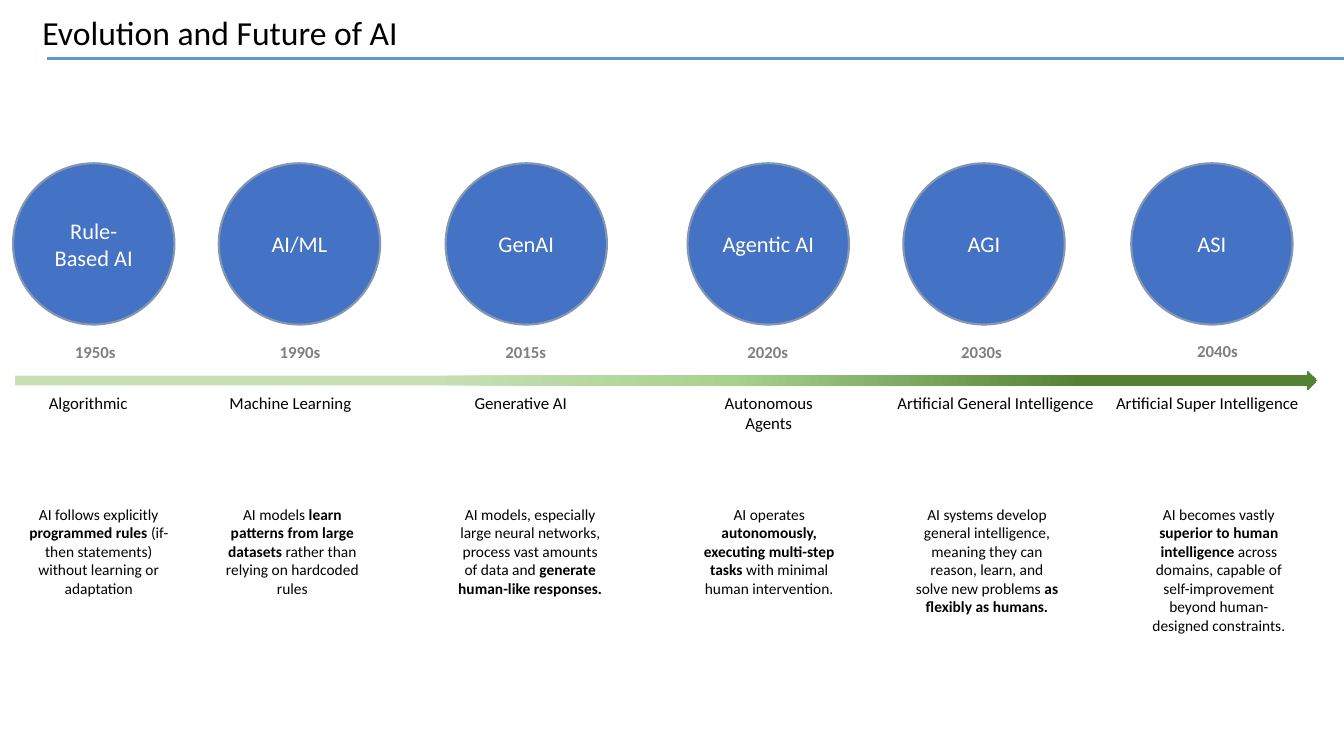
import copy
import pptx
import pptx.dml.color
import pptx.enum.shapes
import pptx.enum.text
import pptx.oxml.ns
import pptx.util
from pptx.util import Inches

SHAPE = pptx.enum.shapes.MSO_SHAPE
ALIGN = pptx.enum.text.PP_ALIGN
ANCHOR = pptx.enum.text.MSO_ANCHOR
FONT = "Calibri"
HUES = {
    "text": "000000", "white": "FFFFFF", "year": "808080",
    "disc": "4472C4", "edge": "8497B0", "rule": "5B9BD5",
    "pale": "C5E0B4", "mid": "A9D18E", "deep": "548235",
}

# Disc: name, left. Year: text, left, top. Label: text, left, width, wrap.
# Note: left, height, runs as (text, bold).
STAGES = [
    (("Rule-Based AI", 0.13), ("1950s", 0.64, 3.34),
     ("Algorithmic", 0.38, 0.99, False),
     (0.25, 0.93, [("AI follows explicitly ", False), ("programmed rules", True),
                   (" (if-then statements) without learning or adaptation", False)])),
    (("AI/ML", 2.17), ("1990s", 2.67, 3.34),
     ("Machine Learning", 2.17, 1.42, False),
     (2.17, 0.93, [("AI models ", False), ("learn patterns from large datasets ", True),
                   ("rather than relying on hardcoded rules", False)])),
    (("GenAI", 4.42), ("2015s", 4.91, 3.34),
     ("Generative AI", 4.6, 1.13, False),
     (4.53, 0.93, [("AI models, especially large neural networks, "
                    "process vast amounts of data and ", False),
                   ("generate human-like responses.", True)])),
    (("Agentic AI", 6.82), ("2020s", 7.31, 3.34),
     ("Autonomous Agents", 6.84, 1.57, True),
     (6.9, 0.93, [("AI operates ", False),
                  ("autonomously, executing multi-step tasks", True),
                  (" with minimal human intervention.", False)])),
    (("AGI", 8.96), ("2030s", 9.43, 3.34),
     ("Artificial General Intelligence", 8.79, 2.17, False),
     (9.06, 1.11, [("AI systems develop general intelligence, meaning they can "
                    "reason, learn, and solve new problems ", False),
                   ("as flexibly as humans.", True)])),
    (("ASI", 11.22), ("2040s", 11.77, 3.33),
     ("Artificial Super Intelligence", 10.96, 2.03, False),
     (11.36, 1.3, [("AI becomes vastly ", False),
                   ("superior to human intelligence ", True),
                   ("across domains, capable of self-improvement "
                    "beyond human-designed constraints.", False)])),
]


def tint(name):
    return pptx.dml.color.RGBColor.from_string(HUES[name])


class Deck:
    def __init__(self):
        self.file = pptx.Presentation()
        self.file.slide_width = Inches(13.33)
        self.file.slide_height = Inches(7.5)
        self.slide = self.file.slides.add_slide(self.file.slide_layouts[5])

    def add_runs(self, frame, runs, size, hue="text", align=ALIGN.CENTER):
        para = frame.paragraphs[0]
        para.alignment = align
        for text, bold in runs:
            run = para.add_run()
            run.text = text
            run.font.name = FONT
            run.font.size = pptx.util.Pt(size)
            run.font.bold = bold
            run.font.color.rgb = tint(hue)

    def title(self, text, left, top, width, height):
        head = self.slide.shapes.title
        head.left, head.top = Inches(left), Inches(top)
        head.width, head.height = Inches(width), Inches(height)
        frame = head.text_frame
        frame.word_wrap = False
        frame.auto_size = pptx.enum.text.MSO_AUTO_SIZE.NONE
        frame.vertical_anchor = ANCHOR.TOP
        self.add_runs(frame, [(text, False)], 24, align=ALIGN.LEFT)

    def shape(self, kind, left, top, width, height):
        item = self.slide.shapes.add_shape(
            kind, Inches(left), Inches(top), Inches(width), Inches(height))
        item.shadow.inherit = False
        return item

    def disc(self, text, left, top=1.62, size=1.6):
        item = self.shape(SHAPE.OVAL, left, top, size, size)
        item.fill.solid()
        item.fill.fore_color.rgb = tint("disc")
        item.line.color.rgb = tint("edge")
        item.line.width = pptx.util.Pt(1.5)
        item.text_frame.vertical_anchor = ANCHOR.MIDDLE
        self.add_runs(item.text_frame, [(text, False)], 16, "white")

    def text(self, runs, left, top, width, height, size,
             hue="text", wrap=False, inset=True):
        box = self.slide.shapes.add_textbox(
            Inches(left), Inches(top), Inches(width), Inches(height))
        frame = box.text_frame
        frame.word_wrap = wrap
        if not inset:
            frame.margin_left = frame.margin_right = 0
            frame.margin_top = frame.margin_bottom = 0
        self.add_runs(frame, runs, size, hue)

    def arrow(self, left, top, width, height, stops):
        item = self.shape(SHAPE.RIGHT_ARROW, left, top, width, height)
        item.line.fill.background()
        item.fill.gradient()
        item.fill.gradient_angle = 0
        # The default gradient has two stops: add the third
        stop_list = item._element.spPr.find(".//" + pptx.oxml.ns.qn("a:gsLst"))
        stop_list.append(copy.deepcopy(stop_list[0]))
        for stop, (place, hue) in zip(item.fill.gradient_stops, stops):
            stop.position = place
            stop.color.rgb = tint(hue)

    def line(self, left, right, top):
        rule = self.slide.shapes.add_connector(
            pptx.enum.shapes.MSO_CONNECTOR.STRAIGHT,
            Inches(left), Inches(top), Inches(right), Inches(top))
        rule.line.color.rgb = tint("rule")
        rule.line.width = pptx.util.Pt(1.5)
        props = rule._element.spPr
        props.append(props.makeelement(pptx.oxml.ns.qn("a:effectLst"), {}))


def main():
    deck = Deck()

    # Heading
    deck.title("Evolution and Future of AI", 0.32, 0.07, 3.76, 0.5)
    deck.line(0.47, 13.33, 0.58)

    # Time arrow
    deck.arrow(0.15, 3.68, 12.91, 0.19,
               [(0.32, "pale"), (0.55, "mid"), (0.82, "deep")])

    # Stages: disc, year, label and note
    for disc, (year, year_left, year_top), label, note in STAGES:
        deck.disc(*disc)
        deck.text([(year, True)], year_left, year_top, 0.61, 0.3, 12, "year")
        name, left, width, wrap = label
        deck.text([(name, False)], left, 3.85, width, 0.5 if wrap else 0.3, 12, wrap=wrap)
        left, height, runs = note
        deck.text(runs, left, 5.01, 1.46, height, 11, wrap=True, inset=False)

    deck.file.save("out.pptx")


if __name__ == "__main__":
    main()
